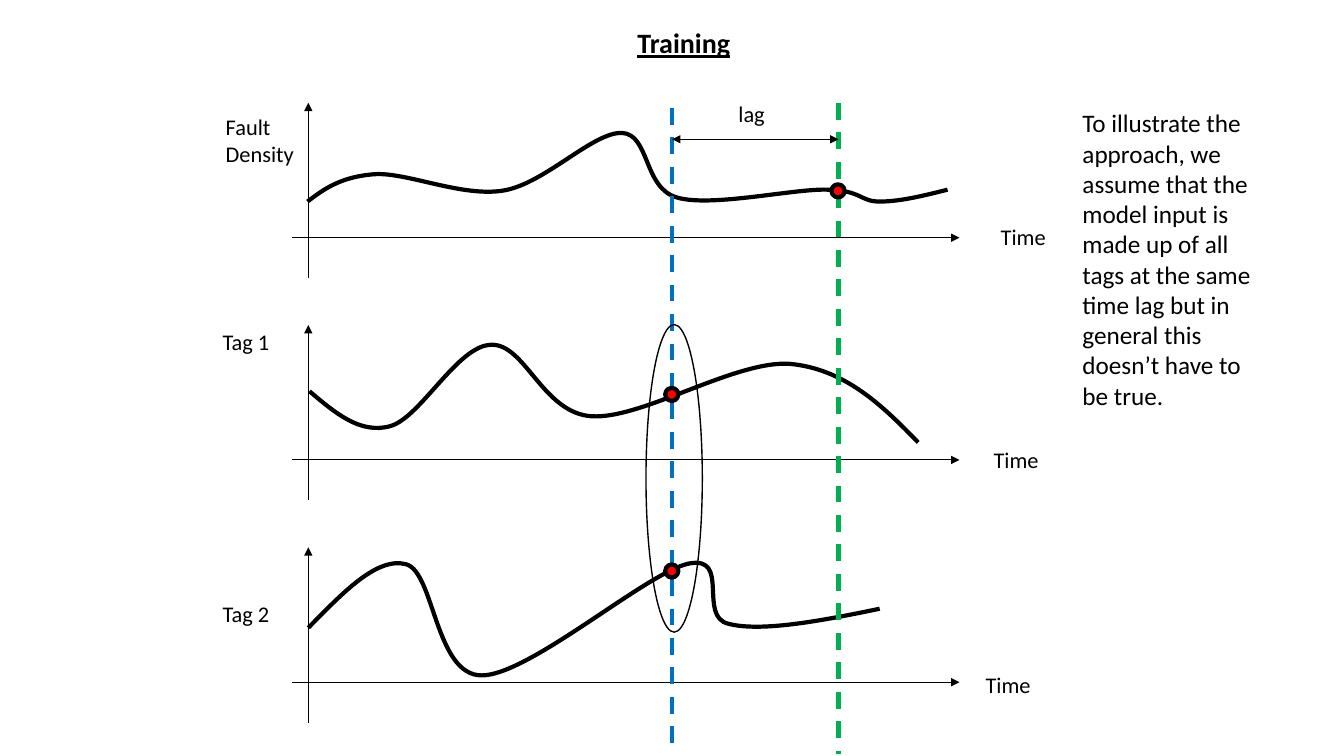
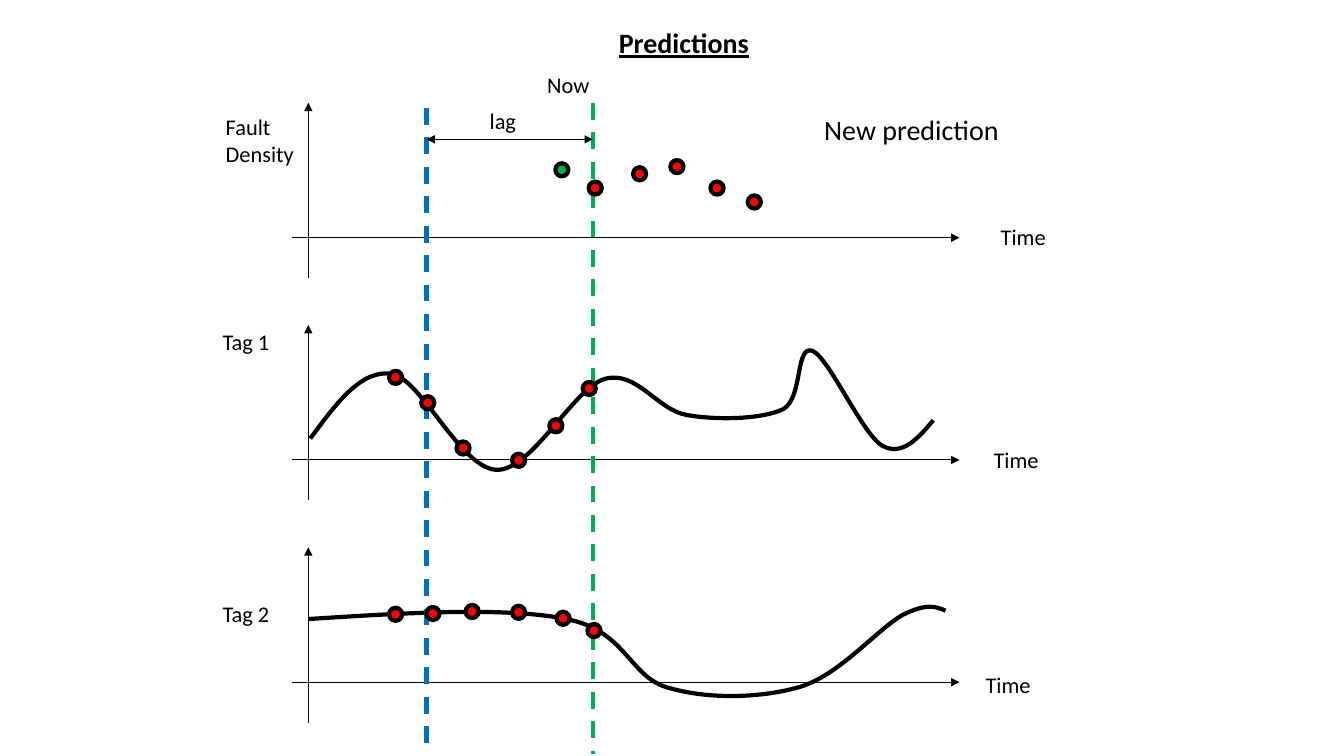
from dataclasses import dataclass

from lxml.etree import SubElement
from pptx import Presentation
from pptx.dml.color import RGBColor
from pptx.enum.dml import MSO_LINE_DASH_STYLE as Dash
from pptx.enum.shapes import MSO_CONNECTOR as Connector, MSO_SHAPE as Shape
from pptx.enum.text import MSO_AUTO_SIZE as AutoSize, PP_ALIGN as Align
from pptx.oxml.ns import qn
from pptx.util import Cm, Pt


@dataclass(frozen=True)
class Theme:
    font: str = "Calibri"
    ink: RGBColor = RGBColor(0x00, 0x00, 0x00)
    past: RGBColor = RGBColor(0x00, 0x70, 0xC0)
    present: RGBColor = RGBColor(0x00, 0xB0, 0x50)
    sample: RGBColor = RGBColor(0xFF, 0x00, 0x00)
    label: int = 16
    note: int = 18
    heading: int = 20
    thin: float = 0.75
    outline: float = 1
    thick: float = 3


THEME = Theme()

# All lengths are in centimetres.
SLIDE_SIZE = (33.87, 19.05)
TITLE_BOX = (8.13, 0.53, 18.21, 1.12)
ROW_TOP, ROW_PITCH, ROW_HEIGHT, BASELINE = 2.59, 5.6, 4.42, 3.4
AXIS_LEFT, AXIS_RIGHT, AXIS_ORIGIN = 7.37, 24.18, 7.77
LAG, LAG_Y = 4.19, 3.51
DOT = 0.33

# Each row: its label, the label's box, and the place of the word "Time".
ROWS = [
    ("Fault\nDensity", (5.44, 2.72, 2.26, 1.63), (24.97, 5.51)),
    ("Tag 1", (5.36, 8.15, 1.7, 0.94), (24.79, 11.13)),
    ("Tag 2", (5.36, 14.99, 1.7, 0.94), (24.59, 16.79)),
]

# Each curve: a start point, then two control points and an end point per bend.
TRAINING = {
    "title": "Training",
    "present_x": 21.13,
    "lag_label": (18.36, 2.41, 1.17, 0.94),
    "curves": [
        [(7.75, 5.08),
         (8.18, 4.75), (8.61, 4.45), (9.45, 4.39),
         (10.26, 4.34), (11.66, 4.98), (12.7, 4.8),
         (13.74, 4.62), (14.94, 3.33), (15.67, 3.35),
         (16.38, 3.38), (16.21, 4.75), (17.07, 4.98),
         (17.93, 5.23), (20.02, 4.75), (20.85, 4.78),
         (21.72, 4.8), (21.67, 5.08), (22.17, 5.08),
         (22.68, 5.08), (23.29, 4.93), (23.88, 4.78)],
        [(7.8, 9.86),
         (8.43, 10.39), (9.07, 10.95), (9.83, 10.74),
         (10.59, 10.54), (11.53, 8.71), (12.37, 8.69),
         (13.23, 8.64), (13.67, 10.41), (14.91, 10.49),
         (16.18, 10.57), (18.54, 9.07), (19.91, 9.17),
         (21.29, 9.3), (22.23, 10.21), (23.14, 11.15)],
        [(7.77, 15.82),
         (8.64, 14.94), (9.5, 14.02), (10.24, 14.22),
         (10.95, 14.43), (10.97, 17.02), (12.14, 17.02),
         (13.34, 17.02), (16.33, 14.4), (17.37, 14.2),
         (18.42, 14), (17.58, 15.54), (18.36, 15.72),
         (19.18, 15.93), (20.68, 15.65), (22.17, 15.34)],
    ],
    "samples": [(21.12, 4.81), (16.93, 9.94), (16.93, 14.39)],
}
PREDICTIONS = {
    "title": "Predictions",
    "present_x": 14.94,
    "lag_label": (12.09, 2.57, 1.17, 0.94),
    "curves": [
        [(7.82, 11.05),
         (8.46, 10.19), (9.09, 9.3), (9.88, 9.42),
         (10.64, 9.58), (11.61, 11.81), (12.52, 11.84),
         (13.41, 11.86), (14.45, 9.78), (15.24, 9.55),
         (16.05, 9.32), (16.56, 10.34), (17.32, 10.46),
         (18.06, 10.59), (19.2, 10.57), (19.74, 10.31),
         (20.24, 10.03), (20.04, 8.69), (20.47, 8.84),
         (20.88, 8.99), (21.72, 10.92), (22.23, 11.23),
         (22.73, 11.51), (23.14, 11.05), (23.52, 10.59)],
        [(7.77, 15.6),
         (10.26, 15.44), (12.75, 15.29), (14.27, 15.6),
         (15.77, 15.88), (15.85, 17.04), (16.81, 17.32),
         (17.81, 17.63), (19.2, 17.6), (20.19, 17.3),
         (21.18, 16.99), (22.15, 15.82), (22.76, 15.49),
         (23.37, 15.19), (23.6, 15.29), (23.83, 15.39)],
    ],
    "samples": [
        (15, 4.74), (16.12, 4.38), (17.06, 4.2), (18.07, 4.74), (19.01, 5.09),
        (9.97, 9.51), (10.78, 10.15), (11.67, 11.29),
        (13.07, 11.6), (14.01, 10.73), (14.85, 9.79),
        (9.97, 15.48), (10.91, 15.46), (11.9, 15.41),
        (13.07, 15.43), (14.19, 15.58), (14.97, 15.89),
    ],
}
NOTE = ("To illustrate the approach, we assume that the model input is made up "
        "of all tags at the same time lag but in general this doesn’t have to be true.")
NOTE_BOX = (27.03, 2.59, 5.26, 7.95)
INPUT_RING = (16.28, 8.18, 1.42, 7.75)
NOW_BOX = (13.54, 1.68, 1.65, 0.94)
NEW_PREDICTION_BOX = (20.52, 2.72, 4.95, 1.12)
KNOWN_VALUE = (14.16, 4.28)


def add_text(slide, words, box, size=THEME.label, wrap=False, align=Align.LEFT, **style):
    frame = slide.shapes.add_textbox(*map(Cm, box)).text_frame
    frame.text = words
    frame.word_wrap = wrap
    frame.auto_size = AutoSize.SHAPE_TO_FIT_TEXT
    formats = {"name": THEME.font, "size": Pt(size), **style}
    for paragraph in frame.paragraphs:
        paragraph.alignment = align
        for run in paragraph.runs:
            run.font.color.rgb = THEME.ink
            for key, value in formats.items():
                setattr(run.font, key, value)


def set_line(shape, width, color=THEME.ink):
    shape.line.color.rgb = color
    shape.line.width = Pt(width)


def add_line(slide, start, end, width=THEME.thin, color=THEME.ink, dash=None, arrows=()):
    line = slide.shapes.add_connector(Connector.STRAIGHT, *map(Cm, (*start, *end)))
    set_line(line, width, color)
    if dash:
        line.line.dash_style = dash
    outline = line.line._get_or_add_ln()
    for arrow in arrows:
        SubElement(outline, qn(f"a:{arrow}"), type="triangle")
    SubElement(line._element.spPr, qn("a:effectLst"))


def add_curve(slide, points):
    """Draw an open Bézier curve, turning each three straight steps into one bend."""
    start, *steps = [(Cm(x), Cm(y)) for x, y in points]
    builder = slide.shapes.build_freeform(*start)
    builder.add_line_segments(steps, close=False)
    curve = builder.convert_to_shape()
    curve.shadow.inherit = False
    curve.fill.background()
    set_line(curve, THEME.thick)
    segments = list(curve._element.iter(qn("a:lnTo")))
    outline = segments[0].getparent()
    for first in range(0, len(segments), 3):
        bend = SubElement(outline, qn("a:cubicBezTo"))
        for segment in segments[first:first + 3]:
            bend.append(segment[0])
            outline.remove(segment)


def add_ellipse(slide, box, width, fill=None):
    ellipse = slide.shapes.add_shape(Shape.OVAL, *map(Cm, box))
    ellipse.shadow.inherit = False
    set_line(ellipse, width)
    if fill is None:
        ellipse.fill.background()
    else:
        ellipse.fill.solid()
        ellipse.fill.fore_color.rgb = fill


def add_dot(slide, center, fill=THEME.sample):
    x, y = center
    add_ellipse(slide, (x - DOT / 2, y - DOT / 2, DOT, DOT), THEME.thick, fill)


def add_axes(slide):
    for index, (label, label_box, time_at) in enumerate(ROWS):
        top = ROW_TOP + index * ROW_PITCH
        base = top + BASELINE
        add_line(slide, (AXIS_LEFT, base), (AXIS_RIGHT, base), arrows=["tailEnd"])
        add_line(slide, (AXIS_ORIGIN, top + ROW_HEIGHT), (AXIS_ORIGIN, top),
                 arrows=["tailEnd"])
        add_text(slide, label, label_box)
        add_text(slide, "Time", (*time_at, 1.65, 0.94))


def add_lag(slide, present_x, label_box):
    past_x = present_x - LAG
    for x, top, bottom, color in [(present_x, 2.59, 19, THEME.present),
                                  (past_x, 2.72, 19.05, THEME.past)]:
        add_line(slide, (x, top), (x, bottom), THEME.thick, color, Dash.DASH)
    add_line(slide, (present_x, LAG_Y), (past_x, LAG_Y), arrows=["headEnd", "tailEnd"])
    add_text(slide, "lag", label_box)


def add_timeline_slide(deck, content):
    slide = deck.slides.add_slide(deck.slide_layouts[6])
    add_text(slide, content["title"], TITLE_BOX, THEME.heading, wrap=True,
             align=Align.CENTER, bold=True, underline=True)
    add_axes(slide)
    for points in content["curves"]:
        add_curve(slide, points)
    add_lag(slide, content["present_x"], content["lag_label"])
    for center in content["samples"]:
        add_dot(slide, center)
    return slide


def main():
    deck = Presentation()
    deck.slide_width, deck.slide_height = map(Cm, SLIDE_SIZE)

    training = add_timeline_slide(deck, TRAINING)
    add_text(training, NOTE, NOTE_BOX, THEME.note, wrap=True)
    add_ellipse(training, INPUT_RING, THEME.outline)

    predictions = add_timeline_slide(deck, PREDICTIONS)
    add_dot(predictions, KNOWN_VALUE, THEME.present)
    add_text(predictions, "Now", NOW_BOX)
    add_text(predictions, "New prediction", NEW_PREDICTION_BOX, THEME.heading)

    deck.save("out.pptx")


if __name__ == "__main__":
    main()
